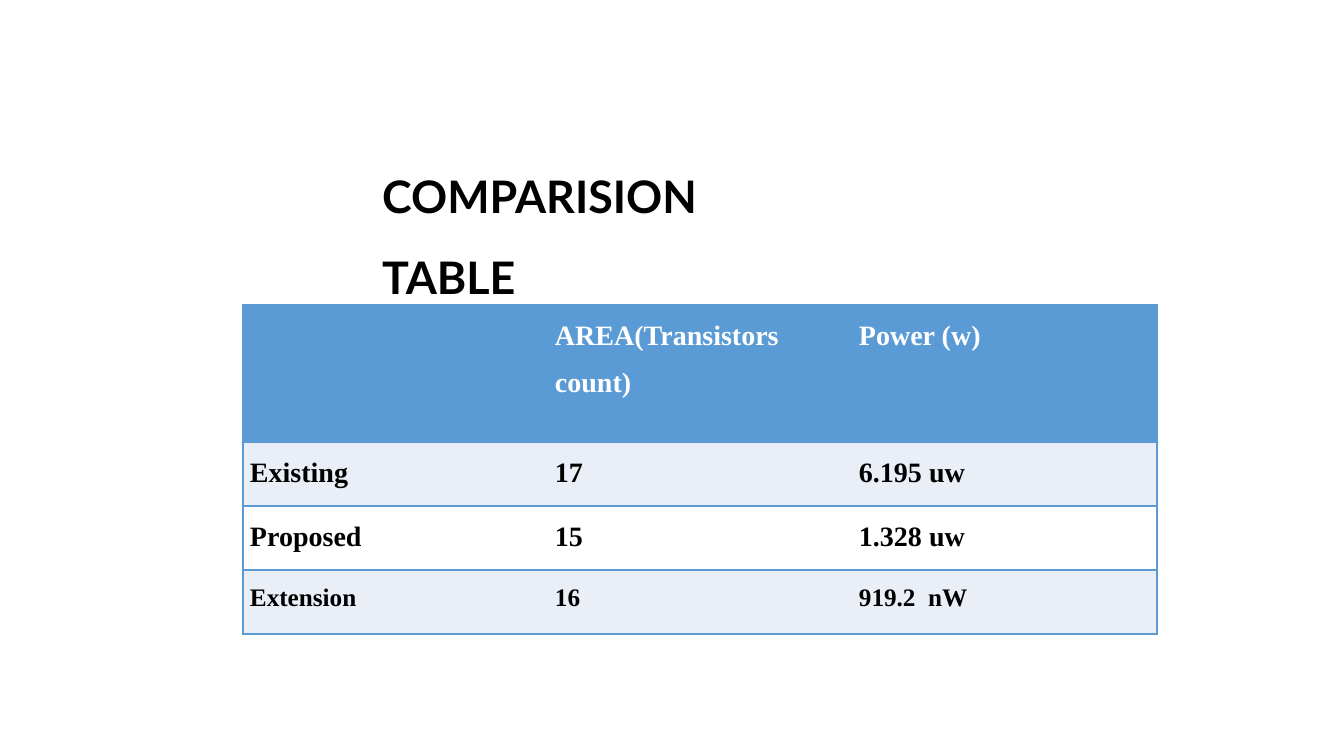
import lxml.etree
import pptx
import pptx.dml.color
import pptx.enum.text
import pptx.oxml.ns
import pptx.util

EMU_PER_PX = 914400 / 100.8
COLOURS = {"blue": "5B9BD5", "band": "EAEFF7", "white": "FFFFFF", "black": "000000"}
COLUMN_WIDTHS = [305, 304, 305]
ROW_HEIGHTS = [137, 64, 64, 64]
COMPARISON = [
    ["", "AREA(Transistors count)", "Power (w)"],
    ["Existing", "17", "6.195 uw"],
    ["Proposed", "15", "1.328 uw"],
    ["Extension", "16", "919.2  nW"],
]
ROW_FORMATS = [
    {"fill": "blue", "colour": "white", "size": 20},
    {"fill": "band", "colour": "black", "size": 20},
    {"fill": "white", "colour": "black", "size": 20},
    {"fill": "band", "colour": "black", "size": 18},
]


def px(length):
    return pptx.util.Emu(round(length * EMU_PER_PX))


def rgb(name):
    return pptx.dml.color.RGBColor.from_string(COLOURS[name])


def write_text(frame, text, *, font, size, colour, align, space_after=0):
    paragraph = frame.paragraphs[0]
    paragraph.alignment = align
    paragraph.line_spacing = 1.5
    paragraph.space_after = pptx.util.Pt(space_after)
    if text:
        run = paragraph.add_run()
        run.text = text
        run.font.name = font
        run.font.size = pptx.util.Pt(size)
        run.font.bold = True
        run.font.color.rgb = rgb(colour)


def add_border(cell, side, colour=None):
    """Draw a 1 pt line on side L, R, T or B, or clear it if no colour is given."""
    properties = cell._tc.get_or_add_tcPr()
    line = lxml.etree.SubElement(properties, pptx.oxml.ns.qn(f"a:ln{side}"), w="12700")
    if colour is None:
        lxml.etree.SubElement(line, pptx.oxml.ns.qn("a:noFill"))
    else:
        fill = lxml.etree.SubElement(line, pptx.oxml.ns.qn("a:solidFill"))
        lxml.etree.SubElement(fill, pptx.oxml.ns.qn("a:srgbClr"), val=COLOURS[colour])


def format_cell(cell, column, text, *, fill, colour, size):
    last_column = len(COLUMN_WIDTHS) - 1
    add_border(cell, "L", "blue" if column == 0 else None)
    add_border(cell, "R", "blue" if column == last_column else None)
    add_border(cell, "T", "blue")
    add_border(cell, "B", "blue")
    cell.fill.solid()
    cell.fill.fore_color.rgb = rgb(fill)
    cell.margin_left = cell.margin_right = px(7)
    cell.margin_top = cell.margin_bottom = 0
    write_text(cell.text_frame, text, font="Times New Roman", size=size,
               colour=colour, align=pptx.enum.text.PP_ALIGN.JUSTIFY)


def add_comparison_table(slide, left, top):
    table = slide.shapes.add_table(
        len(ROW_HEIGHTS), len(COLUMN_WIDTHS), px(left), px(top),
        px(sum(COLUMN_WIDTHS)), px(sum(ROW_HEIGHTS))).table
    for column, width in zip(table.columns, COLUMN_WIDTHS):
        column.width = px(width)
    for row, height, texts, row_format in zip(
            table.rows, ROW_HEIGHTS, COMPARISON, ROW_FORMATS):
        row.height = px(height)
        for column, (cell, text) in enumerate(zip(row.cells, texts)):
            format_cell(cell, column, text, **row_format)


def format_title(title, text):
    title.left, title.top, title.width, title.height = px(372), px(137), px(460), px(83)
    frame = title.text_frame
    frame.word_wrap = True
    frame.auto_size = pptx.enum.text.MSO_AUTO_SIZE.NONE
    frame.vertical_anchor = pptx.enum.text.MSO_ANCHOR.TOP
    write_text(frame, text, font="Lato", size=32, colour="black",
               align=pptx.enum.text.PP_ALIGN.LEFT, space_after=8)


def main():
    presentation = pptx.Presentation()
    presentation.slide_width = px(1344)
    presentation.slide_height = px(756)
    slide = presentation.slides.add_slide(presentation.slide_layouts[5])
    add_comparison_table(slide, 243, 305)
    format_title(slide.shapes.title, "COMPARISION TABLE")
    presentation.save("out.pptx")


if __name__ == "__main__":
    main()
